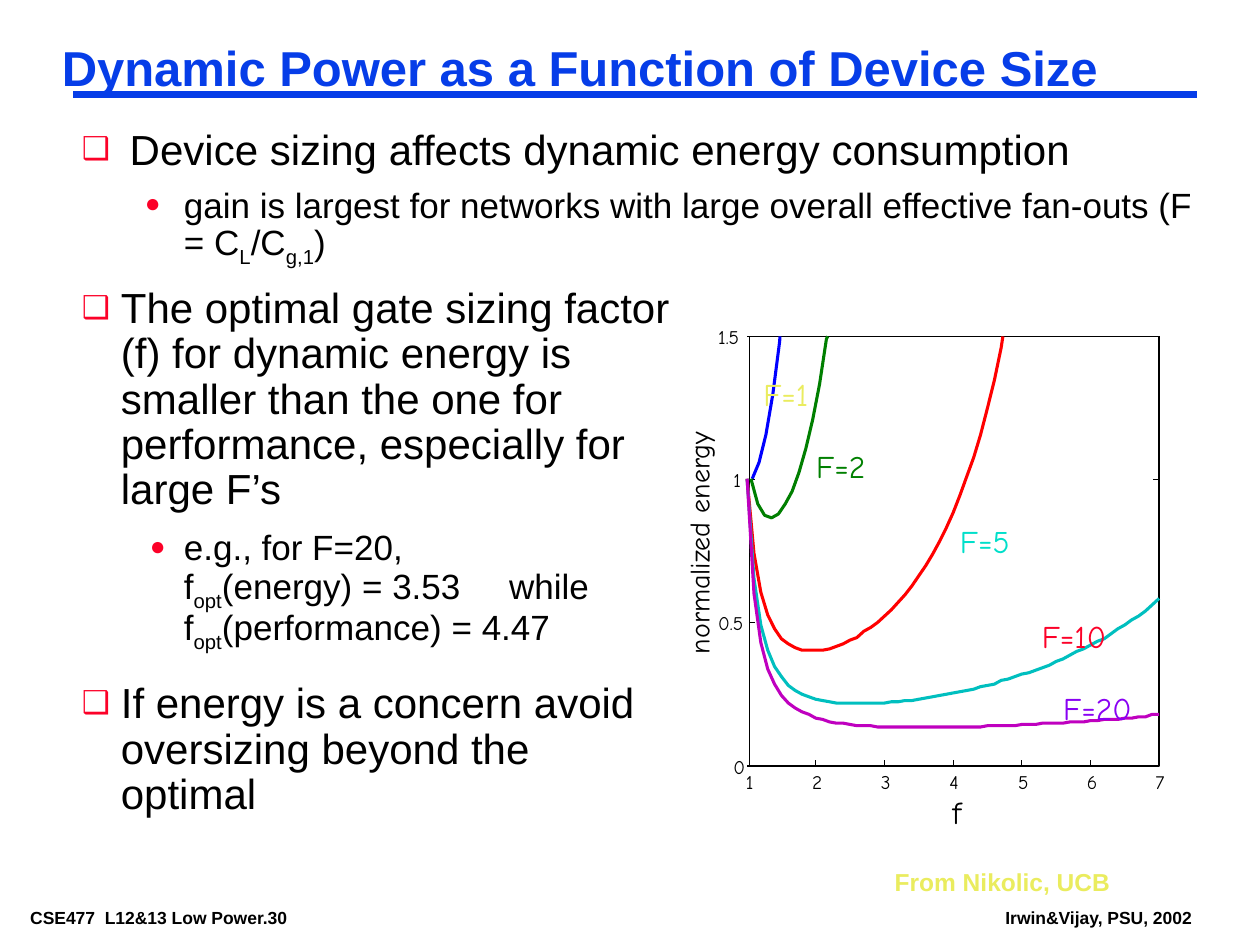
from lxml import etree
from pptx import Presentation
from pptx.dml.color import RGBColor
from pptx.enum.shapes import MSO_CONNECTOR
from pptx.enum.text import MSO_AUTO_SIZE, PP_ALIGN
from pptx.oxml.ns import qn
from pptx.util import Inches, Pt

BLACK = RGBColor(0x00, 0x00, 0x00)
TITLE_BLUE = RGBColor(0x06, 0x3D, 0xE8)
BULLET_RED = RGBColor(0xFC, 0x01, 0x28)
YELLOW = RGBColor(0xEA, 0xEC, 0x5E)
BLUE = RGBColor(0x00, 0x00, 0xFF)
GREEN = RGBColor(0x00, 0x7F, 0x00)
LABEL_GREEN = RGBColor(0x00, 0x80, 0x00)
RED = RGBColor(0xFF, 0x00, 0x00)
TURQUOISE = RGBColor(0x00, 0xDF, 0xCA)
CYAN = RGBColor(0x00, 0xBF, 0xBF)
MAGENTA = RGBColor(0xBF, 0x00, 0xBF)
VIOLET = RGBColor(0x89, 0x01, 0xF3)
HAND = "Comic Neue"
LEFT, RIGHT, TOP, BOTTOM = 5.93, 9.2, 2.67, 6.08
AXIS = 5.95
STEP = (RIGHT - LEFT) / 60

prs = Presentation()
prs.slide_width, prs.slide_height = Inches(10), Inches(7.5)
slide = prs.slides.add_slide(prs.slide_layouts[6])
shapes = slide.shapes


def add_text(text, box, size, color=BLACK, font="Arial", bold=False, inset=(0, 0), wrap=False):
    label = shapes.add_textbox(*map(Inches, box))
    frame = label.text_frame
    frame.word_wrap = wrap
    if not wrap:
        frame.auto_size = MSO_AUTO_SIZE.SHAPE_TO_FIT_TEXT
    frame.margin_left = frame.margin_right = Inches(inset[0])
    frame.margin_top = frame.margin_bottom = Inches(inset[1])
    paragraph = frame.paragraphs[0]
    paragraph.text = text
    paragraph.font.size, paragraph.font.name = Pt(size), font
    paragraph.font.bold, paragraph.font.color.rgb = bold, color
    return label


def add_outline(points, color, width):
    corners = [(Inches(x), Inches(y)) for x, y in points]
    builder = shapes.build_freeform(*corners[0])
    builder.add_line_segments(corners[1:], close=False)
    outline = builder.convert_to_shape()
    outline.fill.background()
    outline.line.color.rgb, outline.line.width = color, Pt(width)
    outline.shadow.inherit = False


narrow = (0.07, 0.03)
add_text("CSE477  L12&13 Low Power.30", (0.17, 7.17, 2.7, 0.22), 10, bold=True, inset=narrow)
add_text("Irwin&Vijay, PSU, 2002", (7.91, 7.17, 1.63, 0.22), 10, bold=True, inset=narrow)

x_ticks = [max(AXIS, LEFT + 10 * STEP * i) for i in range(7)]
y_ticks = [BOTTOM - (BOTTOM - TOP) / 3 * i for i in range(4)]
lines = [(0.58, 0.75, 9.5, 0.75, TITLE_BLUE, 4.5),
         (LEFT, TOP, RIGHT, TOP, BLACK, 1),
         (AXIS, BOTTOM, AXIS, TOP, BLACK, 0.75),
         (AXIS, TOP, AXIS, TOP + 0.03, BLACK, 0.5)]
lines += [(x, BOTTOM, x, BOTTOM - 0.05, BLACK, 0.5) for x in x_ticks]
lines += [(AXIS, y, AXIS + 0.04, y, BLACK, 0.5) for y in y_ticks]
lines += [(RIGHT, y, RIGHT - 0.05, y, BLACK, 0.5) for y in (y_ticks[0], y_ticks[2])]
for x1, y1, x2, y2, color, width in lines:
    line = shapes.add_connector(MSO_CONNECTOR.STRAIGHT, *map(Inches, (x1, y1, x2, y2)))
    line.line.color.rgb, line.line.width = color, Pt(width)
    etree.SubElement(line._element.spPr, qn("a:effectLst"))
add_outline([(LEFT, BOTTOM), (RIGHT, BOTTOM), (RIGHT, TOP)], BLACK, 1)

title = add_text("Dynamic Power as a Function of Device Size", (0.42, 0.33, 9.42, 0.46), 28,
                 TITLE_BLUE, bold=True, inset=narrow, wrap=True)
title.text_frame.paragraphs[0].line_spacing = 0.87

bodies = [
    ((0.58, 1.03, 9.17, 1.2), [
        (0, 0.38, 0.38, 0.8, ["Device sizing affects dynamic energy consumption"]),
        (1, 0.81, 0.31, 0.8, ["gain is largest for networks with large overall effective fan-outs (F = C",
                              "L", "/C", "g,1", ")"])]),
    ((0.58, 2.25, 4.83, 4.27), [
        (0, 0.31, 0.31, 0.9, ["The optimal gate sizing factor (f) for dynamic energy is smaller than "
                              "the one for performance, especially for large F’s"]),
        (1, 0.81, 0.27, 0.85, ["e.g., for F=20,\nf", "opt", "(energy) = 3.53\twhile f", "opt",
                               "(performance) = 4.47"]),
        (0, 0.31, 0.31, 0.9, ["If energy is a concern avoid oversizing beyond the optimal"])]),
]
for box, points in bodies:
    frame = add_text("", box, 24, inset=narrow, wrap=True).text_frame
    for i, (level, margin, hanging, spacing, parts) in enumerate(points):
        paragraph = frame.add_paragraph() if i else frame.paragraphs[0]
        for j, part in enumerate(parts):
            for k, piece in enumerate(part.split("\n")):
                if k:
                    paragraph.add_line_break()
                run = paragraph.add_run()
                run.text = piece
                if j % 2:
                    run._r.get_or_add_rPr().set("baseline", "-25000")
        paragraph.level = level
        paragraph.line_spacing = spacing
        if i:
            paragraph.space_before = Pt(10 if level else 19.5)
        props = paragraph._p.get_or_add_pPr()
        props.set("marL", str(Inches(margin)))
        props.set("indent", str(-Inches(hanging)))
        for old in props.findall(qn("a:defRPr")):
            props.remove(old)
        bullet_color = etree.SubElement(props, qn("a:buClr"))
        etree.SubElement(bullet_color, qn("a:srgbClr"), val=str(BULLET_RED))
        etree.SubElement(props, qn("a:buSzPct"), val="75000")
        etree.SubElement(props, qn("a:buFont"), typeface="Arial")
        etree.SubElement(props, qn("a:buChar"), char="●" if level else "❑")
        if any("\t" in part for part in parts):
            tabs = etree.SubElement(props, qn("a:tabLst"))
            etree.SubElement(tabs, qn("a:tab"), pos=str(Inches(3.39)), algn="l")
        paragraph.font.size, paragraph.font.name = Pt(20 if level else 24), "Arial"
        paragraph.font.color.rgb = BLACK

for number, x in enumerate(x_ticks, 1):
    add_text(str(number), (x - 0.03, 6.11, 0.08, 0.18), 11, font=HAND)
for text, left, width, y in zip(("0", "0.5", "1", "1.5"), (5.82, 5.7, 5.82, 5.7),
                                (0.09, 0.2, 0.06, 0.17), y_ticks):
    add_text(text, (left, y - 0.09, width, 0.18), 11, font=HAND)
add_text("f", (7.56, 6.29, 0.07, 0.3), 18, font=HAND)
add_text("normalized energy", (4.66, 4.17, 1.77, 0.27), 16, font=HAND).rotation = 270

curves = [
    ("F=1", (5.96, 2.93, 0.56, 0.4), YELLOW, BLUE, 5.97, [3.8, 3.67, 3.45, 3.13, 2.71], (6.19, TOP)),
    ("F=2", (6.38, 3.5, 0.6, 0.4), LABEL_GREEN, GREEN, 5.96,
     [3.8, 4, 4.09, 4.11, 4.08, 4, 3.9, 3.75, 3.56, 3.33, 3.05, 2.69], (6.57, TOP)),
    ("F=5", (7.52, 4.09, 0.6, 0.4), TURQUOISE, RED, LEFT,
     [3.8, 4.39, 4.7, 4.88, 4.99, 5.07, 5.11, 5.14, 5.16, 5.16, 5.16, 5.16, 5.15, 5.13, 5.11,
      5.08, 5.06, 5.01, 4.98, 4.94, 4.89, 4.84, 4.78, 4.72, 4.65, 4.57, 4.49, 4.4, 4.3, 4.19,
      4.07, 3.93, 3.78, 3.63, 3.45, 3.24, 3.02, 2.76], (7.96, TOP)),
    ("F=10", (8.17, 4.85, 0.71, 0.4), BULLET_RED, CYAN, LEFT,
     [3.8, 4.59, 4.96, 5.16, 5.29, 5.37, 5.44, 5.48, 5.51, 5.53, 5.55, 5.56, 5.57] + [5.58] * 8
     + [5.57, 5.57, 5.56, 5.56, 5.55, 5.54, 5.53, 5.52, 5.51, 5.5, 5.49, 5.48, 5.47, 5.45, 5.44,
        5.43, 5.4, 5.39, 5.37, 5.35, 5.34, 5.32, 5.3, 5.28, 5.25, 5.23, 5.2, 5.17, 5.15, 5.12,
        5.09, 5.07, 5.03, 4.99, 4.96, 4.92, 4.89, 4.85, 4.8], (RIGHT, 4.75)),
    ("F=20", (8.34, 5.42, 0.74, 0.4), VIOLET, MAGENTA, LEFT,
     [3.8, 4.71, 5.1, 5.31, 5.43, 5.52, 5.58, 5.62, 5.65, 5.67, 5.7, 5.71, 5.73, 5.74, 5.74,
      5.75] + [5.76] * 3 + [5.77] * 16 + [5.76] * 5 + [5.75] * 3 + [5.74] * 4 + [5.73] * 3
     + [5.72, 5.72, 5.71, 5.71, 5.71, 5.7, 5.7, 5.69, 5.69, 5.67], (RIGHT, 5.67)),
]
for name, box, label_color, curve_color, start, heights, end in curves:
    add_outline([(start + STEP * i, y) for i, y in enumerate(heights)] + [end], curve_color, 1.75)
    add_text(name, box, 18, label_color, HAND, inset=(0.1, 0.05))

credit = add_text("From Nikolic, UCB", (6.83, 6.83, 2.08, 0.33), 14, YELLOW, bold=True,
                  inset=(0.1, 0.05), wrap=True)
credit.text_frame.paragraphs[0].alignment = PP_ALIGN.RIGHT

prs.save("out.pptx")
